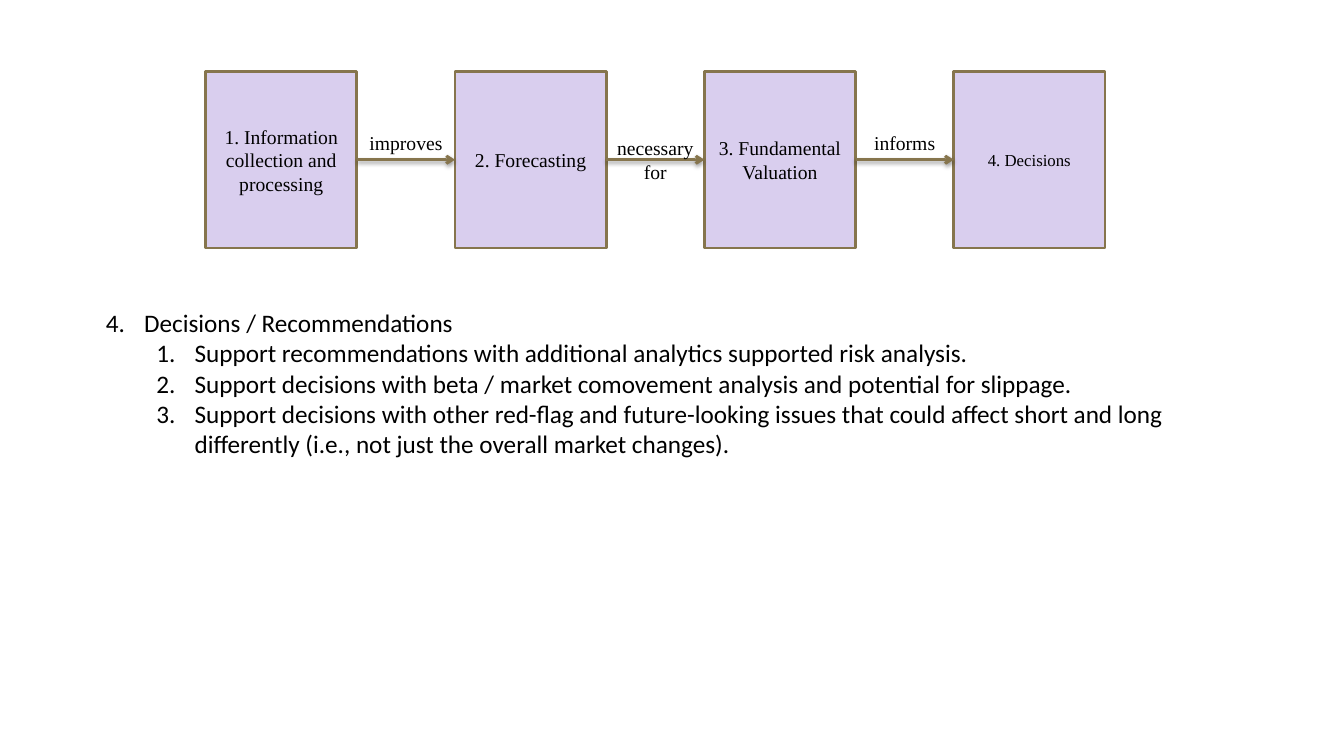
from lxml.etree import SubElement
from pptx import Presentation
from pptx.dml.color import RGBColor
from pptx.enum.shapes import MSO_CONNECTOR as CONN, MSO_SHAPE as SHAPE
from pptx.enum.text import MSO_ANCHOR as ANCHOR, MSO_AUTO_SIZE as FIT, PP_ALIGN as ALIGN
from pptx.oxml.ns import qn
from pptx.util import Inches, Pt

INK, LILAC, BRONZE = "000000", "D9CEEE", "86754D"
STEPS = [("1. Information collection and processing", 14), ("2. Forecasting", 14),
         ("3. Fundamental Valuation", 14), ("4. Decisions", 12)]
LINKS = [(["improves"], 0.97, 1.25), (["necessary", "for"], 1.06, 1.3), (["informs"], 0.86, 1.25)]
ITEMS = [
    (0, 4, "Decisions / Recommendations"),
    (1, 1, "Support recommendations with additional analytics supported risk analysis."),
    (1, 1, "Support decisions with beta / market comovement analysis and potential for slippage."),
    (1, 1, "Support decisions with other red-flag and future-looking issues that could affect "
           "short and long differently (i.e., not just the overall market changes)."),
]


def rgb(code):
    """Return the colour for a hex string."""
    return RGBColor.from_string(code)


def set_all(obj, formats):
    """Set every attribute in a dict of format values."""
    for name, value in formats.items():
        setattr(obj, name, value)


def write(p, text, font, size):
    """Add one formatted run to a paragraph."""
    r = p.add_run()
    r.text = text
    set_all(r.font, {"name": font, "size": Pt(size)})
    r.font.color.rgb = rgb(INK)


def add_step(slide, text, size, x, y, w, h):
    """Draw one process box."""
    sp = slide.shapes.add_shape(SHAPE.RECTANGLE, Inches(x), Inches(y), Inches(w), Inches(h))
    sp.shadow.inherit = False
    sp.fill.solid()
    sp.fill.fore_color.rgb = rgb(LILAC)
    sp.line.color.rgb = rgb(BRONZE)
    sp.line.width = Pt(2)
    set_all(sp.text_frame, {"word_wrap": True, "vertical_anchor": ANCHOR.MIDDLE})
    p = sp.text_frame.paragraphs[0]
    p.alignment = ALIGN.CENTER
    write(p, text, "Times New Roman", size)
    return sp


def add_arrow(slide, start, end):
    """Join two process boxes with a softly shadowed arrow."""
    cn = slide.shapes.add_connector(CONN.STRAIGHT, 0, 0, 0, 0)
    cn.begin_connect(start, 3)
    cn.end_connect(end, 1)
    cn.line.color.rgb = rgb(BRONZE)
    cn.line.width = Pt(2)
    SubElement(cn.line._get_or_add_ln(), qn("a:tailEnd"), type="arrow")
    effects = SubElement(cn._element.spPr, qn("a:effectLst"))
    shadow = SubElement(effects, qn("a:outerShdw"), blurRad=str(Pt(3.1)), dist=str(Pt(1.6)),
                        dir="5400000", rotWithShape="0")
    tint = SubElement(shadow, qn("a:srgbClr"), val=INK)
    SubElement(tint, qn("a:alpha"), val="38000")


def add_label(slide, lines, x, y, w):
    """Write the label of an arrow, one paragraph a line."""
    h = 0.1 + 0.235 * len(lines)
    sp = slide.shapes.add_textbox(Inches(x), Inches(y), Inches(w), Inches(h))
    tf = sp.text_frame
    set_all(tf, {"word_wrap": False, "auto_size": FIT.SHAPE_TO_FIT_TEXT})
    for i, line in enumerate(lines):
        p = tf.add_paragraph() if i else tf.paragraphs[0]
        p.alignment = ALIGN.CENTER
        write(p, line, "Times New Roman", 14)


def add_process(slide, x, y, w, h):
    """Lay out the boxes, arrows and labels of the process."""
    box_w = 1.5
    pitch = (w - box_w) / (len(STEPS) - 1)
    boxes = [add_step(slide, text, size, x + i * pitch, y, box_w, h)
             for i, (text, size) in enumerate(STEPS)]
    for start, end in zip(boxes, boxes[1:]):
        add_arrow(slide, start, end)
    for i, (lines, label_w, top) in enumerate(LINKS):
        middle = x + i * pitch + (box_w + pitch) / 2
        add_label(slide, lines, middle - label_w / 2, top, label_w)


def add_list(slide, x, y, w, h):
    """Fill the body placeholder with the numbered list."""
    sp = slide.placeholders[1]
    set_all(sp, {"left": Inches(x), "top": Inches(y), "width": Inches(w), "height": Inches(h)})
    tf = sp.text_frame
    set_all(tf, {"word_wrap": True, "auto_size": FIT.NONE, "vertical_anchor": ANCHOR.TOP})
    for i, (level, first, text) in enumerate(ITEMS):
        p = tf.add_paragraph() if i else tf.paragraphs[0]
        set_all(p, {"level": level, "space_before": Pt(0), "alignment": ALIGN.LEFT})
        pPr = p._p.get_or_add_pPr()
        pPr.set("marL", str(Inches(0.38 + 0.5 * level)))
        pPr.set("indent", str(Inches(-0.38)))
        SubElement(pPr, qn("a:buFont"), typeface="+mj-lt")
        SubElement(pPr, qn("a:buAutoNum"), type="arabicPeriod", startAt=str(first))
        write(p, text, "Calibri", 18)


def main():
    """Build and save the slide."""
    prs = Presentation()
    set_all(prs, {"slide_width": Inches(13.33), "slide_height": Inches(7.5)})
    slide = prs.slides.add_slide(prs.slide_layouts[1])
    title = slide.shapes.title._element
    title.getparent().remove(title)
    add_process(slide, 2.04, 0.71, 8.92, 1.75)
    add_list(slide, 0.95, 3, 11.11, 2.83)
    prs.save("out.pptx")


if __name__ == "__main__":
    main()
